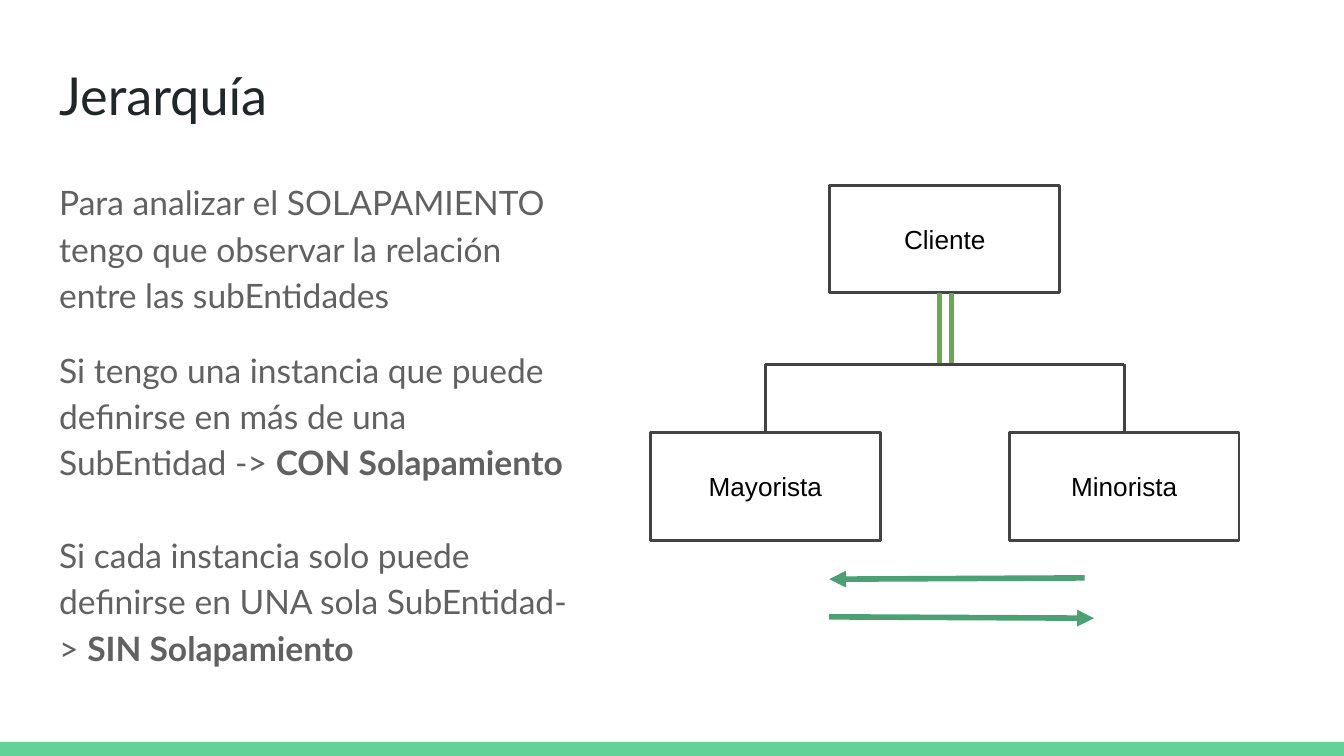
from pptx import Presentation
from pptx import util as u
from pptx.dml.color import RGBColor
from pptx.enum import shapes, text
from pptx.oxml.ns import qn
from lxml import etree

GREY = "434343"
GREEN = "6AA84F"
ARROW_GREEN = "4BA173"
PARAGRAPHS = [
    (0, [("Para analizar el SOLAPAMIENTO tengo que observar la relación "
          "entre las subEntidades", False)]),
    (15.2, [("Si tengo una instancia que puede definirse en más de una "
             "SubEntidad -> ", False), ("CON Solapamiento", True)]),
    (24.8, [("Si cada instancia solo puede definirse en UNA sola "
             "SubEntidad-> ", False), ("SIN Solapamiento", True)]),
]


def color(value):
    return RGBColor.from_string(value)


def place(shape, left, top, width, height):
    shape.left, shape.top = u.Inches(left), u.Inches(top)
    shape.width, shape.height = u.Inches(width), u.Inches(height)


def prepare_frame(shape, anchor):
    frame = shape.text_frame
    frame.word_wrap = True
    frame.auto_size = text.MSO_AUTO_SIZE.NONE
    frame.vertical_anchor = anchor
    frame.margin_left = frame.margin_right = u.Inches(0.1)
    frame.margin_top = frame.margin_bottom = u.Inches(0.1)
    return frame


def add_run(paragraph, words, size, font, hex_color, bold=False):
    run = paragraph.add_run()
    run.text = words
    run.font.size = u.Pt(size)
    run.font.name = font
    run.font.bold = bold
    run.font.color.rgb = color(hex_color)


def add_rectangle(slide, left, top, width, height):
    shape = slide.shapes.add_shape(shapes.MSO_SHAPE.RECTANGLE, u.Inches(left),
                                   u.Inches(top), u.Inches(width), u.Inches(height))
    shape.shadow.inherit = False
    return shape


def add_line(slide, start, end, hex_color, width, arrow=False):
    points = [u.Inches(value) for value in (*start, *end)]
    connector = slide.shapes.add_connector(shapes.MSO_CONNECTOR.STRAIGHT, *points)
    connector.line.color.rgb = color(hex_color)
    connector.line.width = u.Pt(width)
    if arrow:
        etree.SubElement(connector.line._get_or_add_ln(), qn("a:tailEnd"), type="triangle")
    etree.SubElement(connector._element.spPr, qn("a:effectLst"))
    return connector


def add_footer_bar(slide, left, top, width, height):
    bar = add_rectangle(slide, left, top, width, height)
    bar.fill.solid()
    bar.fill.fore_color.rgb = color("63D297")
    bar.line.fill.background()


def fill_title(slide, left, top, width, height):
    title = slide.shapes.title
    place(title, left, top, width, height)
    paragraph = prepare_frame(title, text.MSO_ANCHOR.TOP).paragraphs[0]
    paragraph.alignment = text.PP_ALIGN.LEFT
    add_run(paragraph, "Jerarquía", 28, "Lato", "202729")


def fill_body(slide, left, top, width, height):
    body = slide.placeholders[1]
    place(body, left, top, width, height)
    frame = prepare_frame(body, text.MSO_ANCHOR.TOP)
    for index, (space, runs) in enumerate(PARAGRAPHS):
        paragraph = frame.add_paragraph() if index else frame.paragraphs[0]
        paragraph.line_spacing = 1.15
        paragraph.space_before = u.Pt(space)
        properties = paragraph._p.get_or_add_pPr()
        properties.set("marL", "0")
        properties.set("indent", "0")
        etree.SubElement(properties, qn("a:buNone"))
        for words, bold in runs:
            add_run(paragraph, words, 18, "Lato", "616161", bold)


def add_entity(slide, name, left, top, width, height):
    entity = add_rectangle(slide, left, top, width, height)
    entity.fill.background()
    entity.line.color.rgb = color(GREY)
    entity.line.width = u.Pt(1.5)
    paragraph = prepare_frame(entity, text.MSO_ANCHOR.MIDDLE).paragraphs[0]
    paragraph.alignment = text.PP_ALIGN.CENTER
    add_run(paragraph, name, 14, "Arial", "000000")
    return entity


def add_hierarchy(slide, left, top, width, height):
    box_width, box_height = 1.71, 0.8
    middle = left + width / 2
    bar_y = top + height / 2 + 0.01
    child_top = top + height - box_height
    add_entity(slide, "Cliente", middle - box_width / 2, top, box_width, box_height)
    for x in (middle - 0.04, middle + 0.05):
        add_line(slide, (x, top + box_height), (x, bar_y), GREEN, 2.25)
    centers = (left + box_width / 2, left + width - box_width / 2)
    add_line(slide, (centers[0], bar_y), (centers[1], bar_y), GREY, 1.5)
    for name, center in zip(("Mayorista", "Minorista"), centers):
        child = add_entity(slide, name, center - box_width / 2, child_top,
                           box_width, box_height)
        branch = add_line(slide, (center, bar_y), (center, child_top), GREY, 1.5)
        branch.end_connect(child, 0)


def add_arrows(slide, left, top, width, height):
    bottom = top + height
    add_line(slide, (left, bottom - 0.01), (left + width, bottom), ARROW_GREEN, 3, True)
    add_line(slide, (left + width - 0.07, top), (left, top + 0.01), ARROW_GREEN, 3, True)


def main():
    presentation = Presentation()
    presentation.slide_width = u.Inches(10)
    presentation.slide_height = presentation.slide_width * 9 // 16
    slide = presentation.slides.add_slide(presentation.slide_layouts[1])
    add_footer_bar(slide, 0, 5.52, 10, 0.11)
    fill_title(slide, 0.34, 0.37, 9.32, 0.63)
    fill_body(slide, 0.34, 1.21, 4.05, 3.76)
    add_hierarchy(slide, 4.84, 1.38, 4.38, 2.64)
    add_arrows(slide, 6.17, 4.3, 1.97, 0.3)
    presentation.save("out.pptx")


if __name__ == "__main__":
    main()
